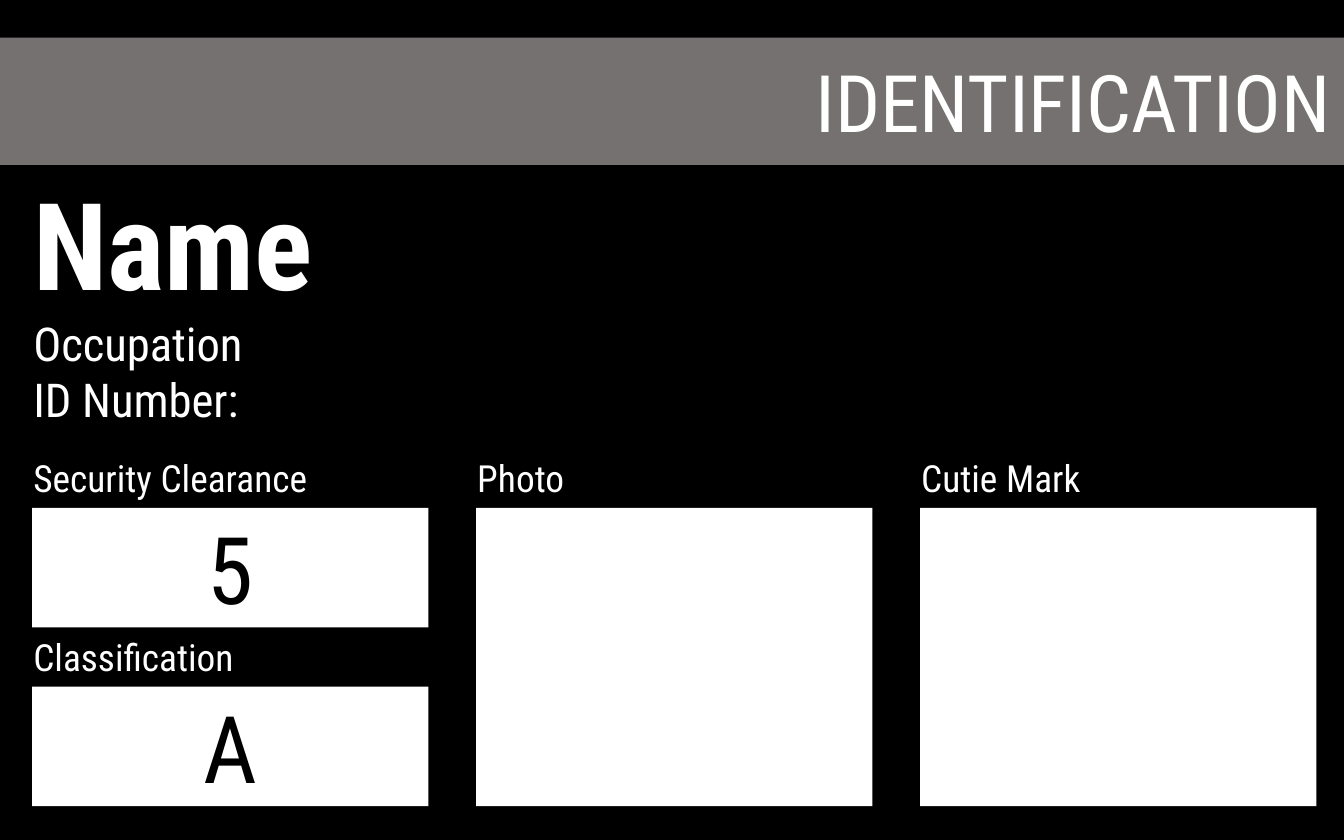
from pptx import Presentation
from pptx.dml.color import RGBColor
from pptx.enum import shapes, text
from pptx.util import Cm, Pt

FONT = "Roboto Condensed"
BLACK, WHITE, GREY = "000000", "FFFFFF", "767171"
LABEL_HEIGHT, FIELD_HEIGHT = 1.12, 2.26
LABEL_OUTDENT = 0.23  # lines the label text up with the field edge


def paint(fill, colour):
    fill.solid()
    fill.fore_color.rgb = RGBColor.from_string(colour)


def style(paragraph, size, colour, bold=False, align=text.PP_ALIGN.LEFT):
    paragraph.alignment = align
    for run in paragraph.runs:
        run.font.name = FONT
        run.font.size = Pt(size)
        run.font.bold = bold
        run.font.color.rgb = RGBColor.from_string(colour)


def add_lines(slide, left, top, width, height, lines):
    """Add white text, one paragraph for each (wording, size, bold)."""
    box = slide.shapes.add_textbox(Cm(left), Cm(top), Cm(width), Cm(height))
    frame = box.text_frame
    frame.word_wrap = True
    frame.text = "\n".join(wording for wording, _, _ in lines)
    for paragraph, (_, size, bold) in zip(frame.paragraphs, lines):
        style(paragraph, size, WHITE, bold)


def add_banner(slide, left, top, width, height, wording):
    banner = slide.shapes.title
    banner.left, banner.top = Cm(left), Cm(top)
    banner.width, banner.height = Cm(width), Cm(height)
    paint(banner.fill, GREY)
    frame = banner.text_frame
    frame.text = wording
    frame.auto_size = text.MSO_AUTO_SIZE.NONE
    frame.vertical_anchor = text.MSO_ANCHOR.MIDDLE
    style(frame.paragraphs[0], 42.5, WHITE, align=text.PP_ALIGN.RIGHT)


def add_field(slide, left, top, width, height, label, value=""):
    """Add a label with a white field that fills the rest of the height."""
    add_lines(slide, left - LABEL_OUTDENT, top, width + LABEL_OUTDENT,
              LABEL_HEIGHT, [(label, 20, False)])
    field = slide.shapes.add_shape(
        shapes.MSO_SHAPE.RECTANGLE, Cm(left), Cm(top + LABEL_HEIGHT),
        Cm(width), Cm(height - LABEL_HEIGHT))
    field.shadow.inherit = False
    paint(field.fill, WHITE)
    field.line.fill.background()
    if value:
        frame = field.text_frame
        frame.text = value
        frame.vertical_anchor = text.MSO_ANCHOR.MIDDLE
        style(frame.paragraphs[0], 50, BLACK, align=text.PP_ALIGN.CENTER)


def add_fields(slide, left, top, width, gap):
    """Add three columns; the first is split into two short fields."""
    short = LABEL_HEIGHT + FIELD_HEIGHT
    columns = [
        [("Security Clearance", "5"), ("Classification", "A")],
        [("Photo", "")],
        [("Cutie Mark", "")],
    ]
    column_width = (width - gap * (len(columns) - 1)) / len(columns)
    for column, entries in enumerate(columns):
        x = left + column * (column_width + gap)
        height = 2 * short / len(entries)
        for row, (label, value) in enumerate(entries):
            add_field(slide, x, top + row * height, column_width, height,
                      label, value)


def main():
    deck = Presentation()
    deck.slide_width, deck.slide_height = Cm(25.4), Cm(15.88)
    card = deck.slides.add_slide(deck.slide_layouts[5])
    paint(card.background.fill, BLACK)
    add_banner(card, 0, 0.71, 25.4, 2.41, "IDENTIFICATION")
    add_lines(card, 0.38, 3.07, 24.5, 5.18, [
        ("Name", 65, True), ("Occupation", 25, False),
        ("ID Number:", 25, False)])
    add_fields(card, 0.61, 8.48, 24.27, 0.9)
    deck.save("out.pptx")


if __name__ == "__main__":
    main()
